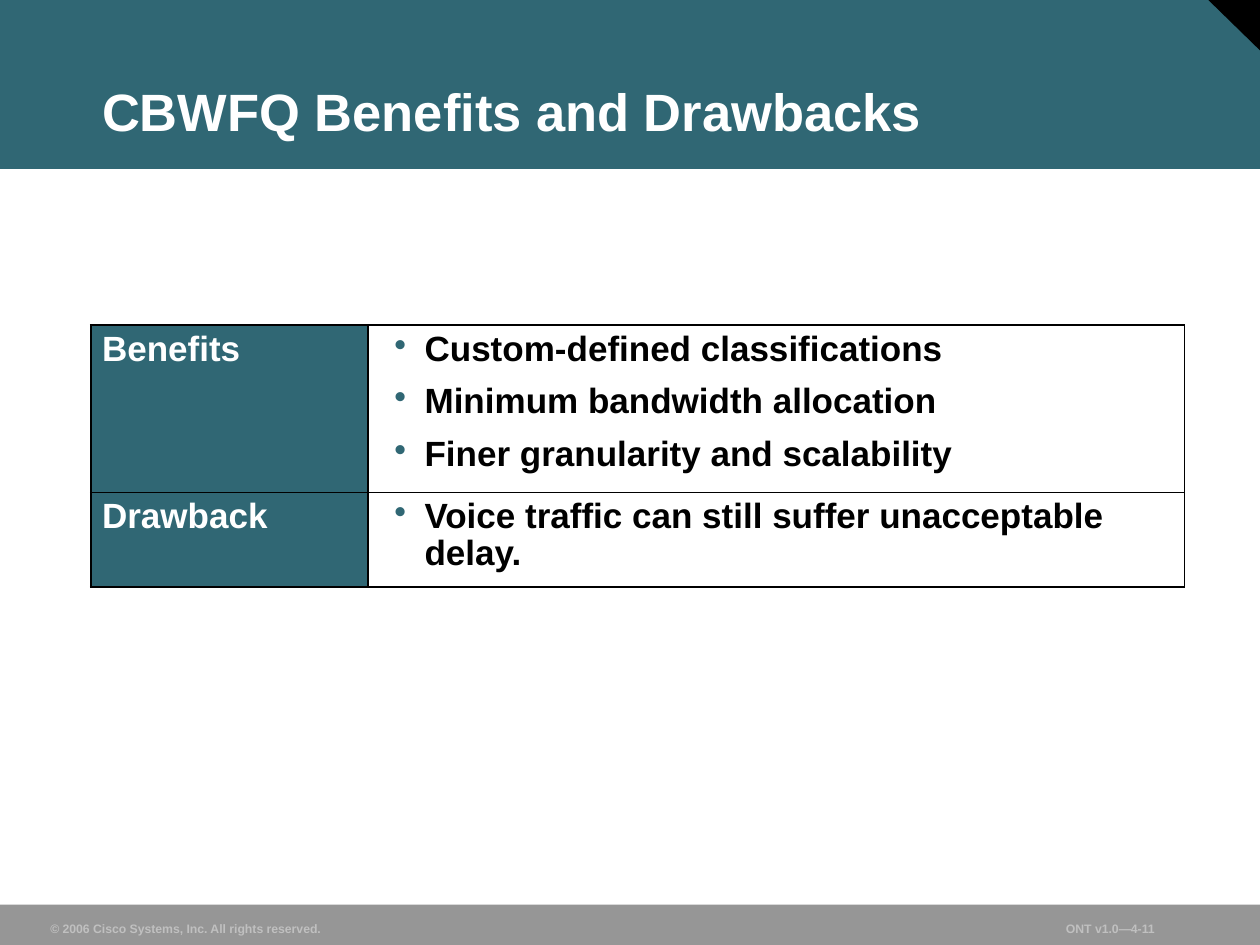
from lxml import etree
from pptx import Presentation
from pptx.dml.color import RGBColor
from pptx.enum import shapes, text
from pptx.oxml import ns
from pptx.util import Inches, Pt

TEAL = RGBColor(0x30, 0x67, 0x74)
GREY = RGBColor(0x96, 0x96, 0x96)
SILVER = RGBColor(0xC0, 0xC0, 0xC0)
BLACK = RGBColor(0, 0, 0)
WHITE = RGBColor(0xFF, 0xFF, 0xFF)

ROWS = [
    ("Benefits", ["Custom-defined classifications",
                  "Minimum bandwidth allocation",
                  "Finer granularity and scalability"], 1.33),
    ("Drawback", ["Voice traffic can still suffer unacceptable delay."], 0.75),
]


def add_sub(parent, tag, **attrs):
    """Append a DrawingML element to parent."""
    el = etree.SubElement(parent, ns.qn(tag))
    for name, value in attrs.items():
        el.set(name, str(value))
    return el


def add_bullet(p):
    """Give a paragraph a hanging teal bullet."""
    pPr = p._p.get_or_add_pPr()
    pPr.set("marL", str(Inches(0.36)))
    pPr.set("indent", str(Inches(-0.24)))
    add_sub(add_sub(pPr, "a:buClr"), "a:srgbClr", val=TEAL)
    add_sub(pPr, "a:buChar", char="•")


def write(tf, lines, size, color, spacing=None, gap=0, bullet=False):
    """Write one paragraph per line into a text frame."""
    for i, line in enumerate(lines):
        p = tf.paragraphs[0] if i == 0 else tf.add_paragraph()
        if bullet:
            add_bullet(p)
        if spacing:
            p.line_spacing = spacing
        if i:
            p.space_before = Pt(gap)
        r = p.add_run()
        r.text = line
        r.font.name, r.font.size, r.font.bold = "Arial", Pt(size), True
        r.font.color.rgb = color


def add_block(s, kind, left, top, width, height, color):
    """Add a plain filled shape."""
    sp = s.shapes.add_shape(kind, Inches(left), Inches(top), Inches(width), Inches(height))
    sp.shadow.inherit = False
    sp.fill.solid()
    sp.fill.fore_color.rgb = color
    sp.line.fill.background()
    return sp


def add_label(s, line, left, top, width, height, wrap=True, **fmt):
    """Add a bottom-anchored text box."""
    tf = s.shapes.add_textbox(Inches(left), Inches(top), Inches(width), Inches(height)).text_frame
    tf.word_wrap = wrap
    tf.vertical_anchor = text.MSO_ANCHOR.BOTTOM
    tf.margin_left = tf.margin_right = Inches(0.09)
    tf.margin_top = tf.margin_bottom = Inches(0.04)
    write(tf, [line], **fmt)


def add_header(s, left, top, width, height):
    """Draw the title band with its cut corner."""
    add_block(s, shapes.MSO_SHAPE.RECTANGLE, left, top, width, height, TEAL)
    corner = add_block(s, shapes.MSO_SHAPE.RIGHT_TRIANGLE,
                       left + width - 0.42, top - 0.01, 0.42, 0.41, BLACK)
    corner.rotation = 180
    add_label(s, "CBWFQ Benefits and Drawbacks", left + 0.72, top + 0.25, 8.91, 0.92,
              size=30, color=WHITE, spacing=0.9)


def add_footer(s, left, top, width, height):
    """Draw the footer band with copyright and page label."""
    add_block(s, shapes.MSO_SHAPE.RECTANGLE, left, top, width, height, GREY)
    for line, x, w in [("© 2006 Cisco Systems, Inc. All rights reserved.", 0.31, 2.33),
                       ("ONT v1.0—4-11", 8.37, 1.25)]:
        add_label(s, line, left + x, top + 0.08, w, 0.21, wrap=False, size=7, color=SILVER)


def style_cell(cell, fill):
    """Set fill, margins and thin black borders of a cell."""
    cell.margin_left = cell.margin_right = Inches(0.09)
    cell.margin_top = cell.margin_bottom = Inches(0.05)
    tcPr = cell._tc.get_or_add_tcPr()
    for side in ("L", "R", "T", "B"):
        ln = add_sub(tcPr, f"a:ln{side}", w=Pt(1.08))
        add_sub(add_sub(ln, "a:solidFill"), "a:srgbClr", val=BLACK)
    cell.fill.solid()
    cell.fill.fore_color.rgb = fill


def add_comparison(s, left, top, width, height):
    """Place the benefits and drawback table."""
    frame = s.shapes.add_table(len(ROWS), 2, Inches(left), Inches(top),
                               Inches(width), Inches(height))
    table = frame.table
    table.first_row = table.horz_banding = False
    table.columns[0].width = Inches(2.2)
    table.columns[1].width = Inches(width - 2.2)
    for i, (heading, points, row_height) in enumerate(ROWS):
        table.rows[i].height = Inches(row_height)
        head, body = table.cell(i, 0), table.cell(i, 1)
        style_cell(head, TEAL)
        style_cell(body, WHITE)
        write(head.text_frame, [heading], 20, WHITE, spacing=0.95)
        write(body.text_frame, points, 20, BLACK, spacing=0.95, gap=8.8, bullet=True)


def main():
    """Build and save the slide."""
    prs = Presentation()
    prs.slide_width, prs.slide_height = Inches(10), Inches(7.5)
    s = prs.slides.add_slide(prs.slide_layouts[6])
    add_header(s, 0, 0, 10, 1.34)
    add_footer(s, 0, 7.18, 10, 0.33)
    add_comparison(s, 0.72, 2.58, 8.68, 2.08)
    prs.save("out.pptx")


if __name__ == "__main__":
    main()
